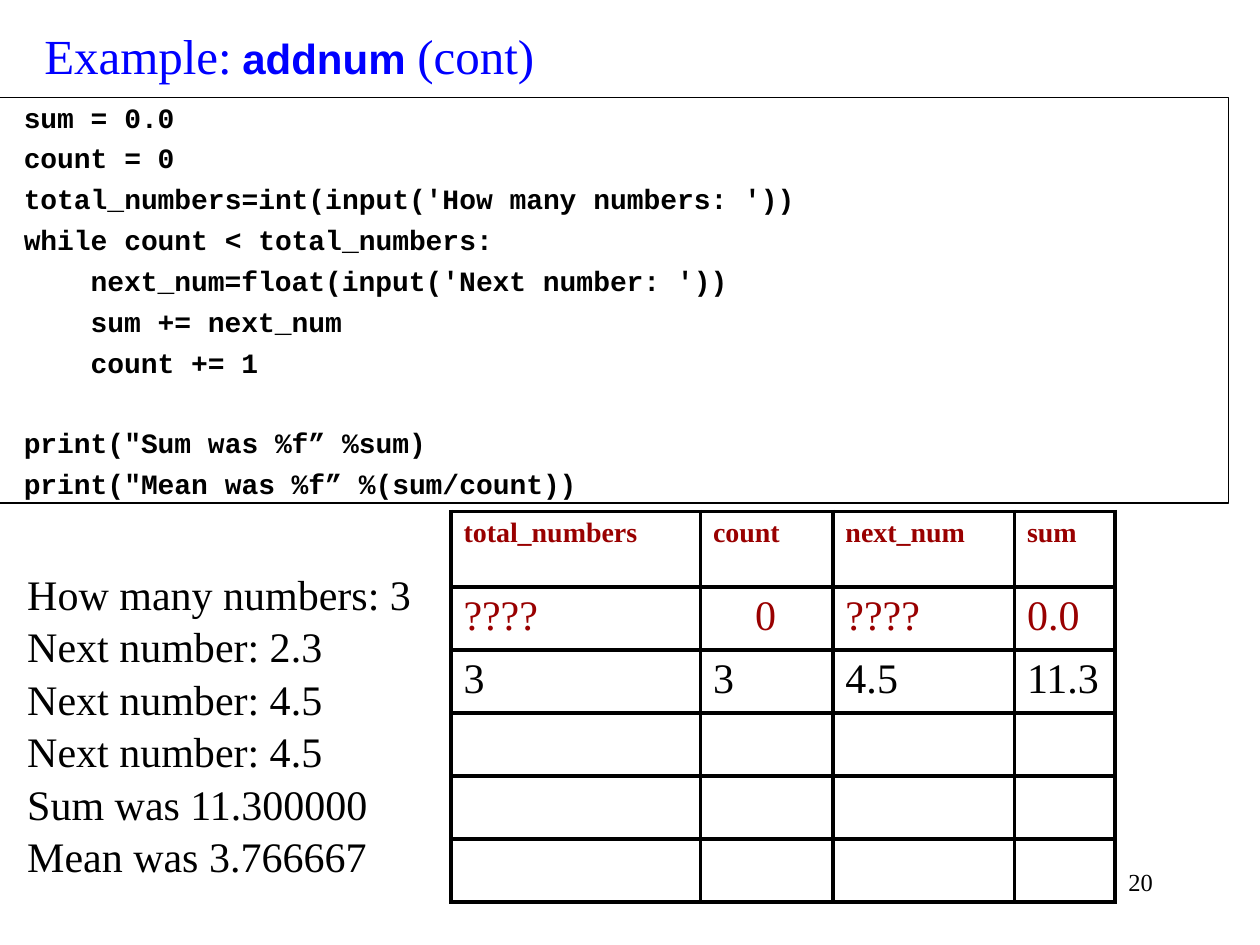
from lxml import etree
from pptx import Presentation
from pptx.dml.color import RGBColor
from pptx.enum.shapes import MSO_SHAPE
from pptx.enum.text import MSO_ANCHOR, MSO_AUTO_SIZE, PP_ALIGN
from pptx.oxml.ns import qn
from pptx.util import Cm, Pt

LEFT, RIGHT = PP_ALIGN.LEFT, PP_ALIGN.RIGHT
TOP, MIDDLE = MSO_ANCHOR.TOP, MSO_ANCHOR.MIDDLE
RECT, FIXED = MSO_SHAPE.RECTANGLE, MSO_AUTO_SIZE.NONE
SERIF, SANS, MONO = "Times New Roman", "Arial", "Courier New"
HEX = {"black": "000000", "blue": "0000FF", "red": "990000"}

TITLE = [
    ("Example:", 28, SERIF, False, False),
    (" ", 24, SERIF, False, True),
    ("addnum ", 24, SANS, True, False),
    ("(cont)", 28, SERIF, False, False),
]
CODE = [
    [
        (0, "sum = 0.0"),
        (0, "count = 0"),
        (0, "total_numbers=int(input('How many numbers: '))"),
        (0, "while count < total_numbers:"),
        (1, "next_num=float(input('Next number: '))"),
        (1, "sum += next_num"),
        (1, "count += 1"),
    ],
    [
        (0, 'print("Sum was %f” %sum)'),
        (0, 'print("Mean was %f” %(sum/count))'),
    ],
]
OUTPUT = [
    "How many numbers: 3",
    "Next number: 2.3",
    "Next number: 4.5",
    "Next number: 4.5",
    "Sum was 11.300000",
    "Mean was 3.766667",
]
TRACE = [
    ["total_numbers", "count", "next_num", "sum"],
    ["????", "0", "????", "0.0"],
    ["3", "3", "4.5", "11.3"],
    [""] * 4,
    [""] * 4,
    [""] * 4,
]
COLS = [5.03, 2.67, 3.66, 2.03]
ROWS = [1.52] + [1.27] * 5
GAP, LINE = 4.2, 22.3


def style(font, size, face, tint="black", bold=False, slant=False):
    font.size, font.name = Pt(size), face
    font.bold, font.italic = bold, slant
    font.color.rgb = RGBColor.from_string(HEX[tint])


def indent(para, left):
    para._p.get_or_add_pPr().set("marL", str(Cm(left)))


def fill_lines(frame, lines):
    frame.text = lines[0]
    for line in lines[1:]:
        frame.add_paragraph().text = line
    return frame.paragraphs


def add_text(slide, box, lines, size, align=LEFT, gap=0, wrap=True):
    frame = slide.shapes.add_textbox(*map(Cm, box)).text_frame
    frame.word_wrap = wrap
    for para in fill_lines(frame, lines):
        para.alignment, para.space_before = align, Pt(gap)
        style(para.font, size, SERIF)


def add_title(slide):
    title = slide.shapes.title
    title.left, title.top, title.width, title.height = map(Cm, (0.64, 0.38, 24.13, 1.45))
    frame = title.text_frame
    frame.auto_size, frame.vertical_anchor = FIXED, TOP
    para = frame.paragraphs[0]
    para.alignment = LEFT
    for text, size, face, bold, slant in TITLE:
        run = para.add_run()
        run.text = text
        style(run.font, size, face, "blue", bold, slant)


def add_code(slide):
    box = slide.shapes.add_shape(RECT, *map(Cm, (-0.03, 1.96, 24.79, 8.18)))
    box.shadow.inherit = False
    box.fill.background()
    box.line.color.rgb = RGBColor.from_string(HEX["black"])
    box.line.width = Pt(0.75)
    frame = box.text_frame
    frame.word_wrap, frame.vertical_anchor = True, MIDDLE
    frame.margin_left = Cm(0.51)
    lines = [(level, text, part > 0 and row == 0)
             for part, block in enumerate(CODE)
             for row, (level, text) in enumerate(block)]
    paras = fill_lines(frame, [text for _, text, _ in lines])
    for para, (level, _, fresh) in zip(paras, lines):
        para.alignment = LEFT
        para.space_before = Pt(GAP + LINE * fresh)
        indent(para, 1.35 * level)
        style(para.font, 16, MONO, bold=True)


def add_edges(cell):
    props = cell._tc.get_or_add_tcPr()
    for side in ("lnL", "lnR", "lnT", "lnB"):
        edge = etree.SubElement(props, qn("a:" + side), w=str(Pt(2.25)))
        paint = etree.SubElement(edge, qn("a:solidFill"))
        etree.SubElement(paint, qn("a:srgbClr"), val=HEX["black"])
    cell.fill.background()


def add_trace(slide):
    box = map(Cm, (9.09, 10.31, sum(COLS), sum(ROWS)))
    table = slide.shapes.add_table(len(ROWS), len(COLS), *box).table
    table.first_row = table.horz_banding = False
    for col, width in zip(table.columns, COLS):
        col.width = Cm(width)
    for r, (row, high) in enumerate(zip(TRACE, ROWS)):
        table.rows[r].height = Cm(high)
        for c, text in enumerate(row):
            cell = table.cell(r, c)
            cell.text = text
            para = cell.text_frame.paragraphs[0]
            tint = "red" if r < 2 else "black"
            style(para.font, 24 if r else 16, SERIF, tint, r == 0)
            add_edges(cell)
    indent(table.cell(1, 1).text_frame.paragraphs[0], 0.85)


def main():
    deck = Presentation()
    deck.slide_width, deck.slide_height = Cm(25.4), Cm(19.05)
    slide = deck.slides.add_slide(deck.slide_layouts[5])
    add_text(slide, (18.21, 17.35, 5.28, 1.27), ["20"], 14, RIGHT)
    add_code(slide)
    add_title(slide)
    add_trace(slide)
    add_text(slide, (0.3, 11.33, 8.33, 7.44), OUTPUT, 24, gap=1.2, wrap=False)
    deck.save("out.pptx")


if __name__ == "__main__":
    main()
